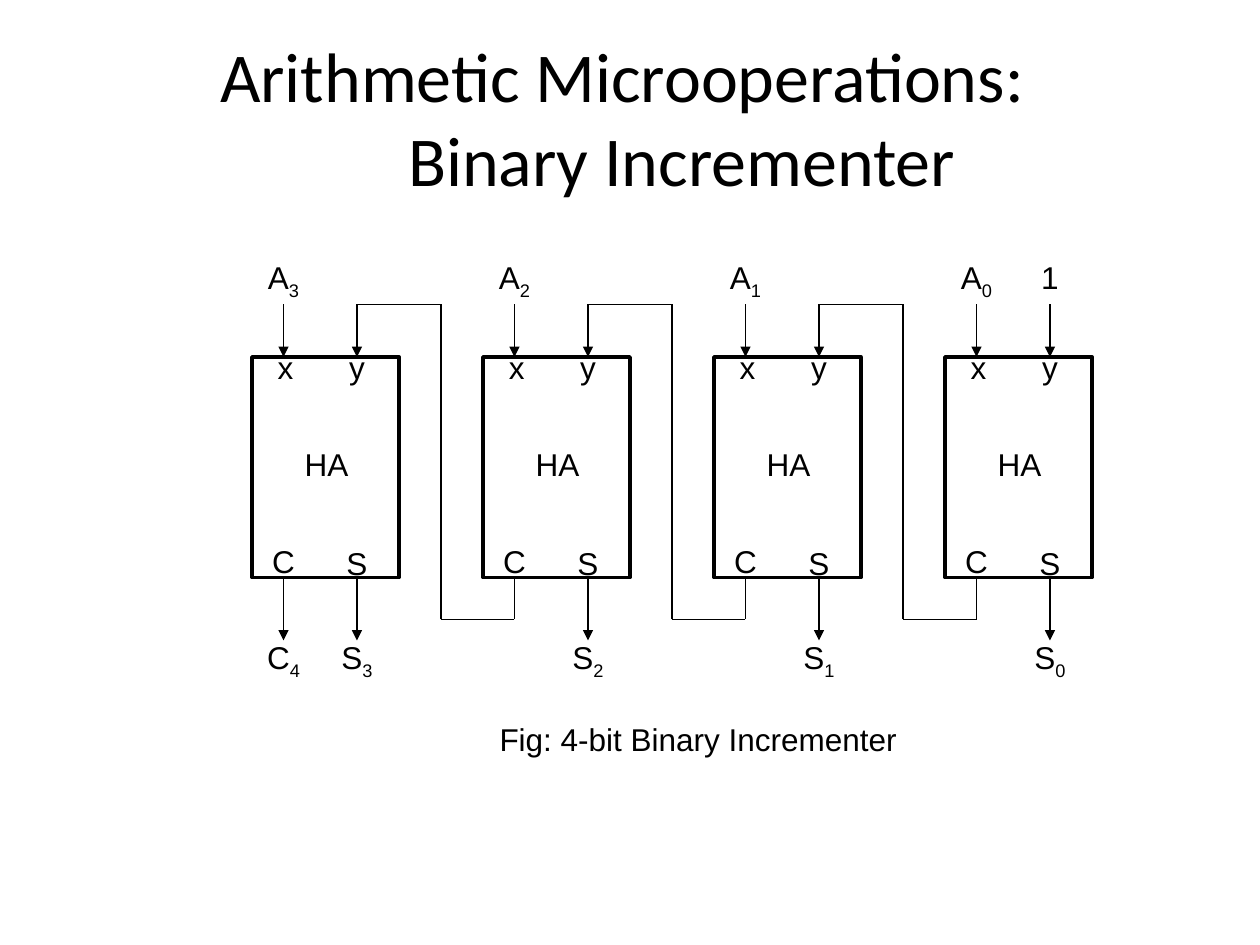
from pptx import Presentation, util as u
from pptx.dml.color import RGBColor
from pptx.enum import shapes, text
from pptx.oxml import parse_xml
from pptx.oxml.ns import nsdecls, qn

BLACK = RGBColor(0, 0, 0)
WHITE = RGBColor(255, 255, 255)
PX = 7620

TITLE = "Arithmetic Microoperations: \vBinary Incrementer"
CAPTION = "Fig: 4-bit Binary Incrementer"
STAGES = (0, 1, 2, 3)
LAST_STAGE = STAGES[-1]
PORTS = [
    ("C", 0, 510, 60),
    ("S", 70, 512, 60),
    ("x", 12, 326, 40),
    ("y", 70, 326, 60),
    ("HA", 26, 418, 90),
]

FIRST_LEFT, PITCH = 240, 220
ADDER_TOP, ADDER_WIDTH, ADDER_HEIGHT = 340, 140, 210
ADDER_BOTTOM = ADDER_TOP + ADDER_HEIGHT
LEFT_PORT, RIGHT_PORT = 30, 100
INPUT_TOP, OUTPUT_BOTTOM = 290, 610
CARRY_BOTTOM, CARRY_OFFSET = 590, -40
INPUT_LABEL_TOP, OUTPUT_LABEL_TOP = 240, 602
LABEL_WIDTH, LABEL_HEIGHT, INDEXED_HEIGHT = 80, 48, 53


def px(*lengths):
    return [u.Emu(length * PX) for length in lengths]


def apply_format(target, values):
    for name, value in values.items():
        setattr(target, name, value)


def add_label(parent, words, left, top, width, index=None):
    height = LABEL_HEIGHT if index is None else INDEXED_HEIGHT
    frame = parent.add_textbox(*px(left, top, width, height)).text_frame
    apply_format(frame, {"word_wrap": True, "auto_size": text.MSO_AUTO_SIZE.SHAPE_TO_FIT_TEXT})
    paragraph = frame.paragraphs[0]
    apply_format(paragraph, {"alignment": text.PP_ALIGN.CENTER, "space_before": u.Pt(11.2)})
    for position, part in enumerate([words] if index is None else [words, str(index)]):
        run = paragraph.add_run()
        run.text = part
        apply_format(run.font, {"name": "Arial", "size": u.Pt(18)})
        run.font.color.rgb = BLACK
        if position:
            run.font._element.set("baseline", "-25000")


def add_wire(parent, *points, arrow=True):
    for position, (start, end) in enumerate(zip(points, points[1:]), 2):
        wire = parent.add_connector(shapes.MSO_CONNECTOR.STRAIGHT, *px(*start, *end))
        wire.line.width = u.Pt(0.75)
        wire.line.color.rgb = BLACK
        properties = wire._element.spPr
        properties.append(parse_xml(f"<a:effectLst {nsdecls('a')}/>"))
        if arrow and position == len(points):
            properties.find(qn("a:ln")).append(
                parse_xml(f'<a:tailEnd {nsdecls("a")} type="triangle"/>'))


def add_adder(parent, left):
    adder = parent.add_shape(shapes.MSO_SHAPE.RECTANGLE,
                             *px(left, ADDER_TOP, ADDER_WIDTH, ADDER_HEIGHT))
    adder.shadow.inherit = False
    adder.fill.solid()
    adder.fill.fore_color.rgb = WHITE
    adder.line.color.rgb = BLACK
    adder.line.width = u.Pt(2)
    for words, offset, top, width in PORTS:
        add_label(parent, words, left + offset, top, width)


def add_stage(parent, stage):
    left = FIRST_LEFT + PITCH * (LAST_STAGE - stage)
    x, y = left + LEFT_PORT, left + RIGHT_PORT
    left_label, right_label = x - LABEL_WIDTH // 2, y - LABEL_WIDTH // 2
    add_adder(parent, left)
    add_wire(parent, (x, INPUT_TOP), (x, ADDER_TOP))
    add_wire(parent, (y, ADDER_BOTTOM), (y, OUTPUT_BOTTOM))
    add_label(parent, "A", left_label, INPUT_LABEL_TOP, LABEL_WIDTH, stage)
    add_label(parent, "S", right_label, OUTPUT_LABEL_TOP, LABEL_WIDTH, stage)
    if stage == 0:
        add_wire(parent, (y, INPUT_TOP), (y, ADDER_TOP))
        add_label(parent, "1", right_label, INPUT_LABEL_TOP, LABEL_WIDTH)
    if stage == LAST_STAGE:
        add_wire(parent, (x, ADDER_BOTTOM), (x, OUTPUT_BOTTOM))
        add_label(parent, "C", left_label, OUTPUT_LABEL_TOP, LABEL_WIDTH, stage + 1)
    else:
        bend, next_y = left + CARRY_OFFSET, y - PITCH
        add_wire(parent, (x, ADDER_BOTTOM), (x, CARRY_BOTTOM), (bend, CARRY_BOTTOM),
                 (bend, INPUT_TOP), (next_y, INPUT_TOP), (next_y, ADDER_TOP))


def add_title(slide):
    title = slide.shapes.title
    apply_format(title, dict(zip(("left", "top", "width", "height"), px(60, 36, 1080, 150))))
    frame = title.text_frame
    apply_format(frame, {"text": TITLE, "vertical_anchor": text.MSO_ANCHOR.MIDDLE,
                         "auto_size": text.MSO_AUTO_SIZE.NONE})
    paragraph = frame.paragraphs[0]
    paragraph.alignment = text.PP_ALIGN.CENTER
    indent = u.Inches(0.82)
    properties = paragraph._p.get_or_add_pPr()
    properties.set("marL", str(indent))
    properties.set("indent", str(-indent))
    for run in paragraph.runs:
        apply_format(run.font, {"name": "Calibri", "size": u.Pt(40)})
        run.font.color.rgb = BLACK


def main():
    presentation = Presentation()
    apply_format(presentation, {"slide_width": u.Inches(10), "slide_height": u.Inches(7.5)})
    slide = presentation.slides.add_slide(presentation.slide_layouts[5])
    add_title(slide)
    circuit = slide.shapes.add_group_shape().shapes
    for stage in STAGES:
        add_stage(circuit, stage)
    add_label(slide.shapes, CAPTION, 300, 680, 730)
    presentation.save("out.pptx")


if __name__ == "__main__":
    main()
